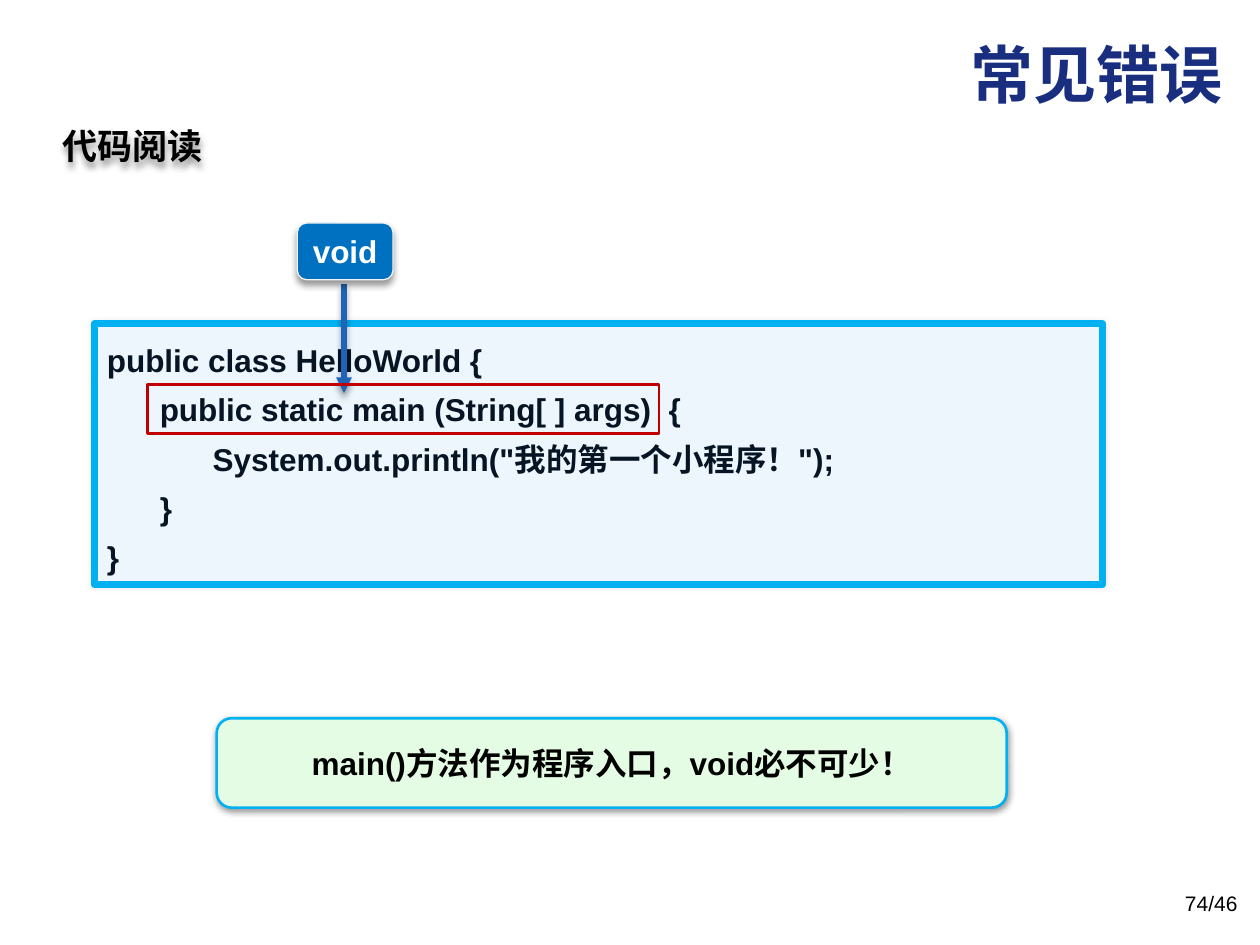
from lxml import etree
from pptx import Presentation
from pptx.dml.color import RGBColor
from pptx.enum import shapes, text
from pptx.oxml import parse_xml
from pptx.oxml.ns import nsdecls, qn
from pptx.util import Inches, Pt

BLACK = RGBColor(0x00, 0x00, 0x00)
WHITE = RGBColor(0xFF, 0xFF, 0xFF)
NAVY = RGBColor(0x1A, 0x2E, 0x7F)
INK = RGBColor(0x07, 0x14, 0x24)
SKY = RGBColor(0x00, 0xB0, 0xF0)
PALE_BLUE = RGBColor(0xED, 0xF5, 0xFD)
PALE_GREEN = RGBColor(0xE4, 0xFC, 0xE4)
BLUE = RGBColor(0x00, 0x70, 0xC0)
ARROW_BLUE = RGBColor(0x21, 0x63, 0xB4)
LIGHT_GREY = RGBColor(0xF2, 0xF2, 0xF2)
RED = RGBColor(0xC0, 0x00, 0x00)

CODE = (
    "public class HelloWorld {",
    "\tpublic static main (String[ ] args)  {",
    "\t\tSystem.out.println(\"我的第一个小程序！\");",
    "\t}",
    "}",
)


def add_shadow(shape, opacity=40, blur=4, distance=3, angle=90):
    """Give a shape or connector a soft black outer shadow."""
    properties = shape._element.spPr
    for effects in properties.findall(qn("a:effectLst")):
        properties.remove(effects)
    properties.append(parse_xml(
        f'<a:effectLst {nsdecls("a")}><a:outerShdw blurRad="{Pt(blur)}" '
        f'dist="{Pt(distance)}" dir="{angle * 60000}" algn="ctr" rotWithShape="0">'
        f'<a:srgbClr val="000000"><a:alpha val="{opacity * 1000}"/></a:srgbClr>'
        '</a:outerShdw></a:effectLst>'))


def add_tab_stops(paragraph, step, count):
    """Set evenly spaced left tab stops on a paragraph."""
    tabs = etree.SubElement(paragraph._p.get_or_add_pPr(), qn("a:tabLst"))
    for number in range(1, count + 1):
        etree.SubElement(tabs, qn("a:tab"), pos=str(step * number), algn="l")


def style_paragraph(paragraph, size, color, alignment, bold=True, font_name="Arial"):
    """Set the alignment and font of a paragraph."""
    paragraph.alignment = alignment
    font = paragraph.font
    font.name, font.size, font.bold = font_name, Pt(size), bold
    font.color.rgb = color


def add_box(slide, kind, box, fill, line, line_width, corner=None):
    """Add a preset shape with its fill and outline."""
    shape = slide.shapes.add_shape(kind, *map(Inches, box))
    shape.shadow.inherit = False
    if corner is not None:
        shape.adjustments[0] = corner
    if fill is None:
        shape.fill.background()
    else:
        shape.fill.solid()
        shape.fill.fore_color.rgb = fill
    shape.line.color.rgb = line
    shape.line.width = Pt(line_width)
    return shape


def add_label(slide, box, words, size, color, alignment, wrap=True, **font):
    """Add a one-line text box."""
    label = slide.shapes.add_textbox(*map(Inches, box))
    label.text_frame.word_wrap = wrap
    paragraph = label.text_frame.paragraphs[0]
    paragraph.text = words
    style_paragraph(paragraph, size, color, alignment, **font)
    return label


def add_callout(slide, box, words, fill, line, line_width, color, wrap=True):
    """Add a rounded, shadowed box with centred bold text."""
    callout = add_box(slide, shapes.MSO_SHAPE.ROUNDED_RECTANGLE, box,
                      fill, line, line_width, 0.167)
    frame = callout.text_frame
    frame.word_wrap = wrap
    frame.vertical_anchor = text.MSO_ANCHOR.MIDDLE
    paragraph = frame.paragraphs[0]
    paragraph.text = words
    style_paragraph(paragraph, 18, color, text.PP_ALIGN.CENTER)
    return callout


def add_code_panel(slide, box):
    """Add the framed code listing."""
    panel = add_box(slide, shapes.MSO_SHAPE.ROUNDED_RECTANGLE, box,
                    PALE_BLUE, SKY, 4, 0)
    add_shadow(panel, opacity=10, blur=3, distance=0, angle=0)
    frame = panel.text_frame
    frame.word_wrap = True
    frame.vertical_anchor = text.MSO_ANCHOR.TOP
    for index, line in enumerate(CODE):
        paragraph = frame.add_paragraph() if index else frame.paragraphs[0]
        paragraph.text = line
        add_tab_stops(paragraph, Inches(0.42), 2)
        paragraph.line_spacing = 1.3
        style_paragraph(paragraph, 18, INK, text.PP_ALIGN.LEFT)


def add_arrow(slide, x, top, bottom):
    """Add the downward arrow to the faulty line."""
    arrow = slide.shapes.add_connector(
        shapes.MSO_CONNECTOR.STRAIGHT, *map(Inches, (x, top, x, bottom)))
    arrow.line.color.rgb = ARROW_BLUE
    arrow.line.width = Pt(3)
    etree.SubElement(arrow.line._get_or_add_ln(), qn("a:tailEnd"), type="triangle")
    add_shadow(arrow)


def add_code_review(slide, box):
    """Place the listing with its correction and the marked line."""
    left, top, width, height = box
    add_code_panel(slide, box)
    add_arrow(slide, left + 1.98, top - 0.32, top + 0.55)
    keyword = add_callout(slide, (left + 1.61, top - 0.8, 0.76, 0.45), "void",
                          BLUE, LIGHT_GREY, 0.75, WHITE, wrap=False)
    add_shadow(keyword)
    add_box(slide, shapes.MSO_SHAPE.RECTANGLE, (left + 0.42, top + 0.48, 4.06, 0.39),
            None, RED, 1.5)


def add_headings(slide, box):
    """Place the slide title and the section heading."""
    left, top, width, height = box
    add_label(slide, (left + 0.41, top, width - 0.41, 0.98), "常见错误",
              36, NAVY, text.PP_ALIGN.RIGHT)
    heading = add_label(slide, (left, top + 0.71, 1.33, 0.44), "代码阅读", 20, BLACK,
                        text.PP_ALIGN.CENTER, wrap=False, font_name="Noto Sans CJK SC")
    add_shadow(heading)


def main():
    """Build and save the slide."""
    presentation = Presentation()
    presentation.slide_width = Inches(10)
    presentation.slide_height = Inches(7.5)
    slide = presentation.slides.add_slide(presentation.slide_layouts[6])
    add_code_review(slide, (0.75, 2.57, 8, 2.07))
    summary = add_callout(slide, (1.72, 5.7, 6.27, 0.71),
                          "main()方法作为程序入口，void必不可少！",
                          PALE_GREEN, SKY, 1.5, BLACK)
    add_shadow(summary, distance=1)
    add_headings(slide, (0.39, 0.23, 9.41, 1.15))
    add_label(slide, (7.59, 7.02, 2.33, 0.4), "74/46", 12, BLACK,
              text.PP_ALIGN.RIGHT, bold=False)
    presentation.save("out.pptx")


if __name__ == "__main__":
    main()
